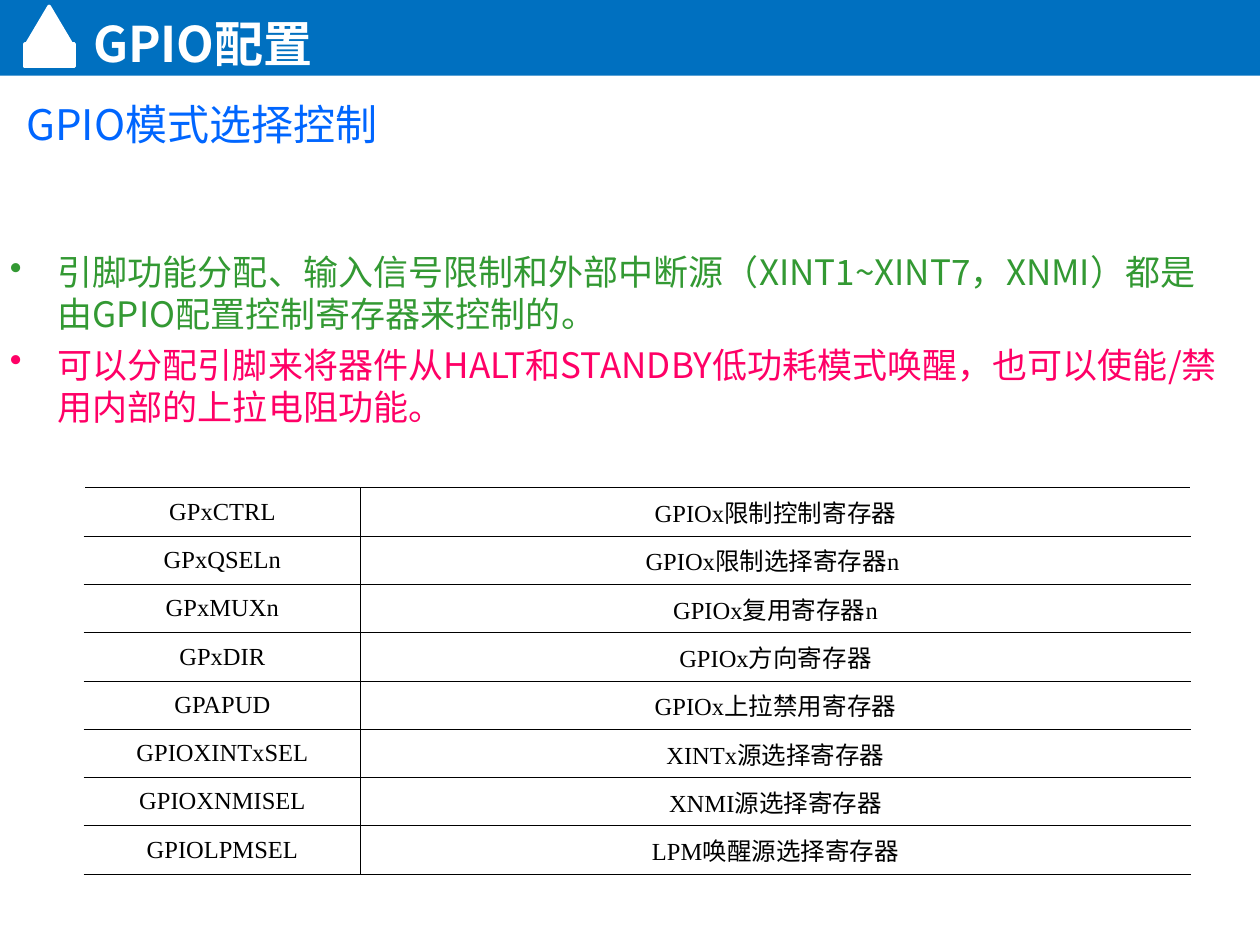
from lxml import etree
from pptx import Presentation
from pptx.dml.color import RGBColor
from pptx.enum.shapes import MSO_SHAPE
from pptx.enum.text import MSO_ANCHOR, PP_ALIGN
from pptx.oxml.ns import qn
from pptx.util import Inches, Pt

RECT = MSO_SHAPE.RECTANGLE
ROOF = MSO_SHAPE.ISOSCELES_TRIANGLE
MID = MSO_ANCHOR.MIDDLE
CENTER = PP_ALIGN.CENTER

THEME = {
    "bar": "0070C0", "white": "FFFFFF", "blue": "0066FF", "green": "339933",
    "pink": "FF0066", "black": "000000",
    "sans": "Noto Sans CJK SC", "serif": "Times New Roman",
    "head": 28, "sub": 24, "body": 20, "cell": 14,
}


def style(para, text, size, color, face, bold=False, **form):
    run = para.add_run()
    run.text = text
    font = {"name": THEME[face], "size": Pt(THEME[size]), "bold": bold}
    for key, value in font.items():
        setattr(run.font, key, value)
    run.font.color.rgb = RGBColor.from_string(THEME[color])
    if face == "sans":
        etree.SubElement(run.font._element, qn("a:ea"), typeface=THEME[face])
        form["line_spacing"] = Pt(THEME[size] * 1.2)
    for key, value in form.items():
        setattr(para, key, value)


def border(cell, sides):
    props = cell._tc.get_or_add_tcPr()
    for spot, side in enumerate(sides):
        line = etree.Element(qn("a:" + side), w=str(Pt(0.45)))
        fill = etree.SubElement(line, qn("a:solidFill"))
        etree.SubElement(fill, qn("a:srgbClr"), val=THEME["black"])
        props.insert(spot, line)


deck = Presentation()
deck.slide_width, deck.slide_height = Inches(10), Inches(7.5)
slide = deck.slides.add_slide(deck.slide_layouts[6])
shapes = slide.shapes

for kind, box, color, edge in [
    (RECT, (0, 0, 10, 0.6), "bar", 0),
    (RECT, (0.2, 0.35, 0.39, 0.18), "white", 2),
    (ROOF, (0.2, 0.05, 0.38, 0.32), "white", 2),
]:
    shape = shapes.add_shape(kind, *map(Inches, box))
    shape.shadow.inherit = False
    shape.fill.solid()
    shape.fill.fore_color.rgb = RGBColor.from_string(THEME[color])
    if edge:
        shape.line.width = Pt(edge)
        shape.line.color.rgb = RGBColor.from_string(THEME[color])
    else:
        shape.line.fill.background()

for text, box, size, color, bold, wrap in [
    ("GPIO模式选择控制", (0.11, 0.73, 3.57, 0.5), "sub", "blue", False, True),
    ("GPIO配置", (0.64, 0.06, 2.05, 0.57), "head", "white", True, False),
]:
    frame = shapes.add_textbox(*map(Inches, box)).text_frame
    frame.word_wrap = wrap
    style(frame.paragraphs[0], text, size, color, "sans", bold)

points = [
    ("引脚功能分配、输入信号限制和外部中断源（XINT1~XINT7，XNMI）都是由GPIO配置控制寄存器来控制的。", "green"),
    ("可以分配引脚来将器件从HALT和STANDBY低功耗模式唤醒，也可以使能/禁用内部的上拉电阻功能。", "pink"),
]
box = (-0.02, 1.94, 9.85, 1.51)
frame = shapes.add_textbox(*map(Inches, box)).text_frame
frame.word_wrap = True
for spot, (text, color) in enumerate(points):
    para = frame.add_paragraph() if spot else frame.paragraphs[0]
    props = para._p.get_or_add_pPr()
    props.set("marL", str(Inches(0.38)))
    props.set("indent", str(-Inches(0.38)))
    tint = etree.SubElement(props, qn("a:buClr"))
    etree.SubElement(tint, qn("a:srgbClr"), val=THEME[color])
    etree.SubElement(props, qn("a:buChar"), char="•")
    style(para, text, "body", color, "sans", space_before=Pt(5 if spot else 0))

rows = [
    ("GPxCTRL", "GPIOx限制控制寄存器"),
    ("GPxQSELn", "GPIOx限制选择寄存器n "),
    ("GPxMUXn", "GPIOx复用寄存器n"),
    ("GPxDIR", "GPIOx方向寄存器"),
    ("GPAPUD", "GPIOx上拉禁用寄存器"),
    ("GPIOXINTxSEL", "XINTx源选择寄存器"),
    ("GPIOXNMISEL", "XNMI源选择寄存器"),
    ("GPIOLPMSEL", "LPM唤醒源选择寄存器"),
]
box = (0.67, 3.87, 8.78, 3.07)
table = shapes.add_table(len(rows), 2, *map(Inches, box)).table
table.first_row = table.horz_banding = False
for col, width in zip(table.columns, (2.19, 6.59)):
    col.width = Inches(width)
sides = [("lnR", "lnT", "lnB"), ("lnL", "lnT", "lnB")]
form = {
    "vertical_anchor": MID,
    "margin_left": Inches(0.08), "margin_right": Inches(0.08),
    "margin_top": Inches(0.05), "margin_bottom": Inches(0.05),
}
for row, texts in enumerate(rows):
    for col, text in enumerate(texts):
        cell = table.cell(row, col)
        for key, value in form.items():
            setattr(cell, key, value)
        cell.fill.background()
        border(cell, sides[col])
        para = cell.text_frame.paragraphs[0]
        style(para, text, "cell", "black", "serif", alignment=CENTER)

deck.save("out.pptx")
